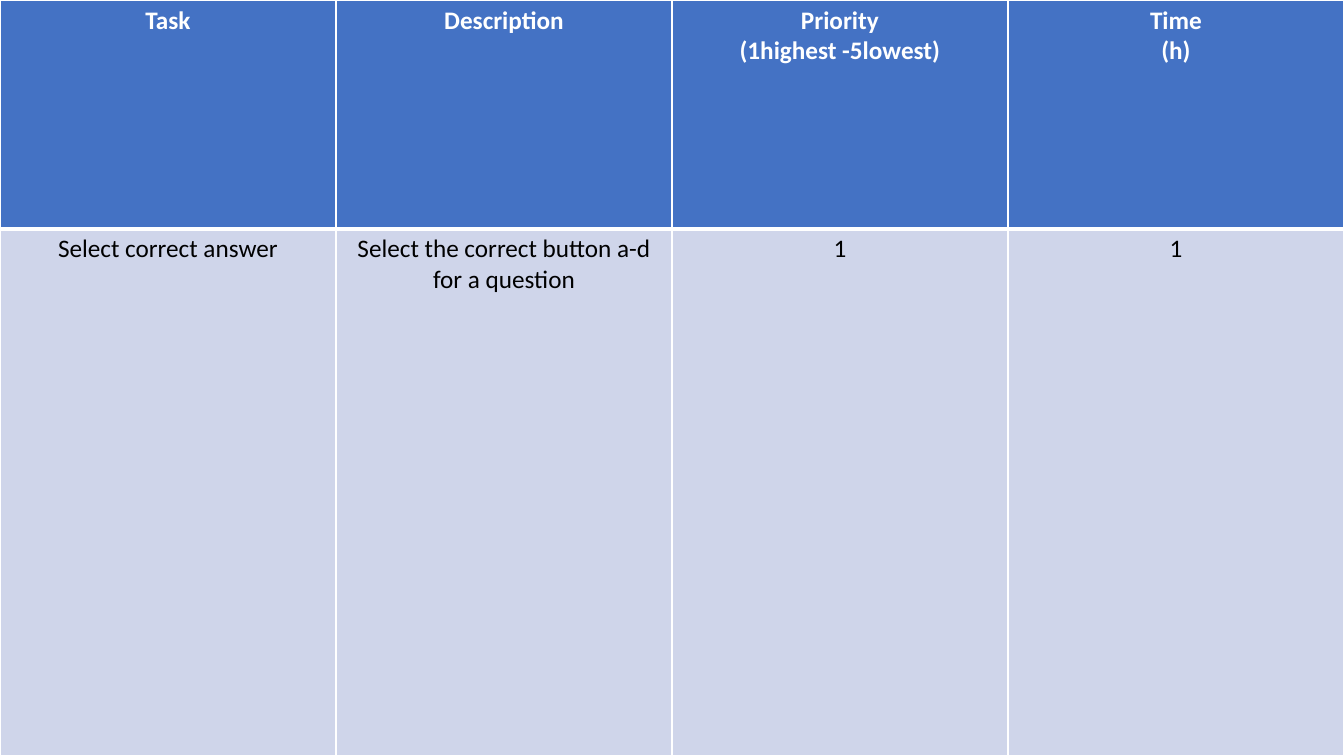
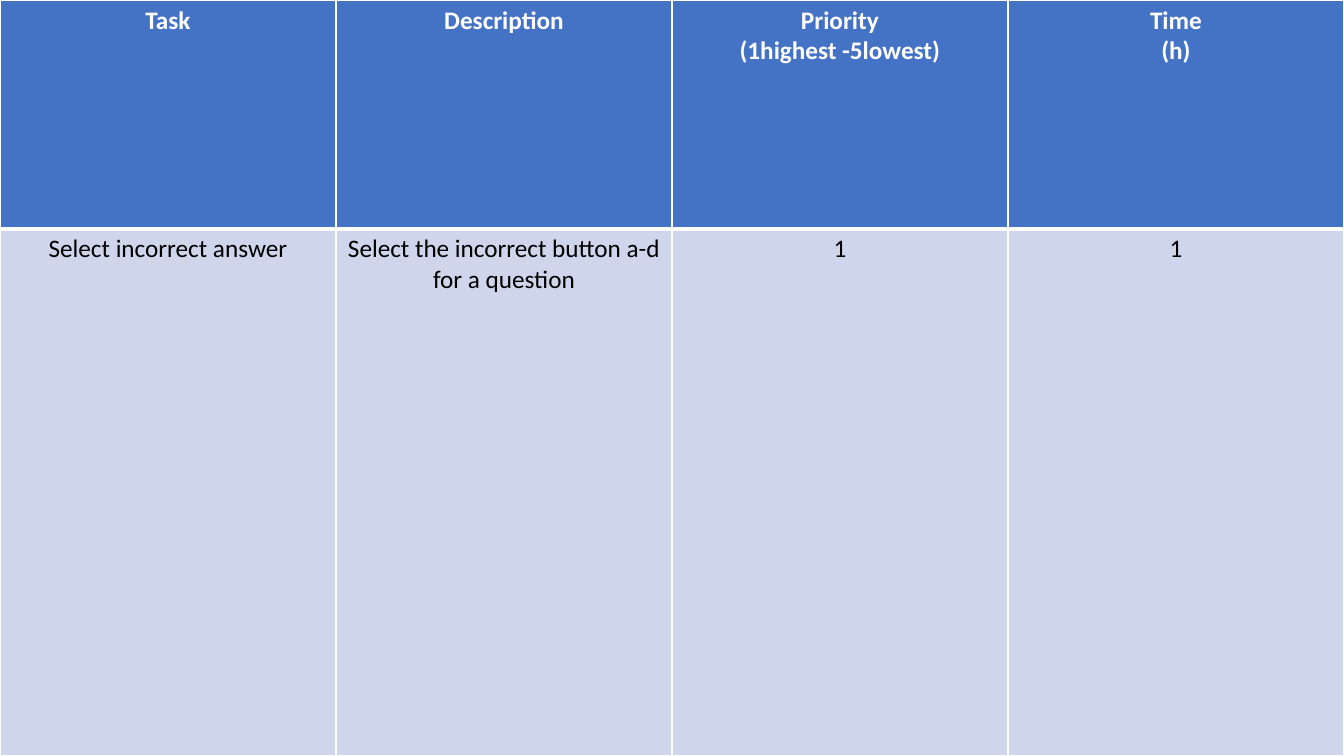
"""Build two task-planning slides, each filled by one table."""
from lxml.etree import SubElement
from pptx import Presentation
from pptx.dml.color import RGBColor
from pptx.enum.text import PP_ALIGN
from pptx.oxml.ns import qn
from pptx.util import Inches, Pt

WHITE = RGBColor(0xFF, 0xFF, 0xFF)
BLACK = RGBColor(0x00, 0x00, 0x00)
HEADER_BLUE = RGBColor(0x44, 0x72, 0xC4)
BODY_BLUE = RGBColor(0xCF, 0xD5, 0xEA)

FONT = "Calibri"
TEXT_SIZE = Pt(18)
THIN, THICK = Pt(1), Pt(3)
SLIDE_WIDTH, SLIDE_HEIGHT = Inches(13.33), Inches(7.5)
HEADER_HEIGHT = Inches(2.27)

HEADINGS = ("Task", "Description", "Priority\n(1highest -5lowest)", "Time\n(h)")
TASKS = (
    ("Select correct answer", "Select the correct button a-d for a question", "1", "1"),
    ("Select incorrect answer", "Select the incorrect button a-d for a question", "1", "1"),
)


def set_borders(cell, top, bottom):
    properties = cell._tc.get_or_add_tcPr()
    for side, width in (("L", THIN), ("R", THIN), ("T", top), ("B", bottom)):
        border = SubElement(properties, qn(f"a:ln{side}"), w=str(width))
        fill = SubElement(border, qn("a:solidFill"))
        SubElement(fill, qn("a:srgbClr"), val=str(WHITE))


def fill_cell(cell, text, background, color, bold):
    cell.fill.solid()
    cell.fill.fore_color.rgb = background
    cell.text = text
    for paragraph in cell.text_frame.paragraphs:
        paragraph.alignment = PP_ALIGN.CENTER
        paragraph.font.name = FONT
        paragraph.font.size = TEXT_SIZE
        paragraph.font.bold = bold
        paragraph.font.color.rgb = color


def add_task_table(slide, task):
    table = slide.shapes.add_table(
        2, len(HEADINGS), 0, 0, SLIDE_WIDTH, SLIDE_HEIGHT
    ).table
    header, body = table.rows
    header.height = HEADER_HEIGHT
    body.height = SLIDE_HEIGHT - HEADER_HEIGHT
    for cell, heading in zip(header.cells, HEADINGS):
        set_borders(cell, THIN, THICK)
        fill_cell(cell, heading, HEADER_BLUE, WHITE, True)
    for cell, detail in zip(body.cells, task):
        set_borders(cell, THICK, THIN)
        fill_cell(cell, detail, BODY_BLUE, BLACK, False)


def main():
    deck = Presentation()
    deck.slide_width, deck.slide_height = SLIDE_WIDTH, SLIDE_HEIGHT
    blank = deck.slide_layouts[6]
    for task in TASKS:
        add_task_table(deck.slides.add_slide(blank), task)
    deck.save("out.pptx")


if __name__ == "__main__":
    main()
